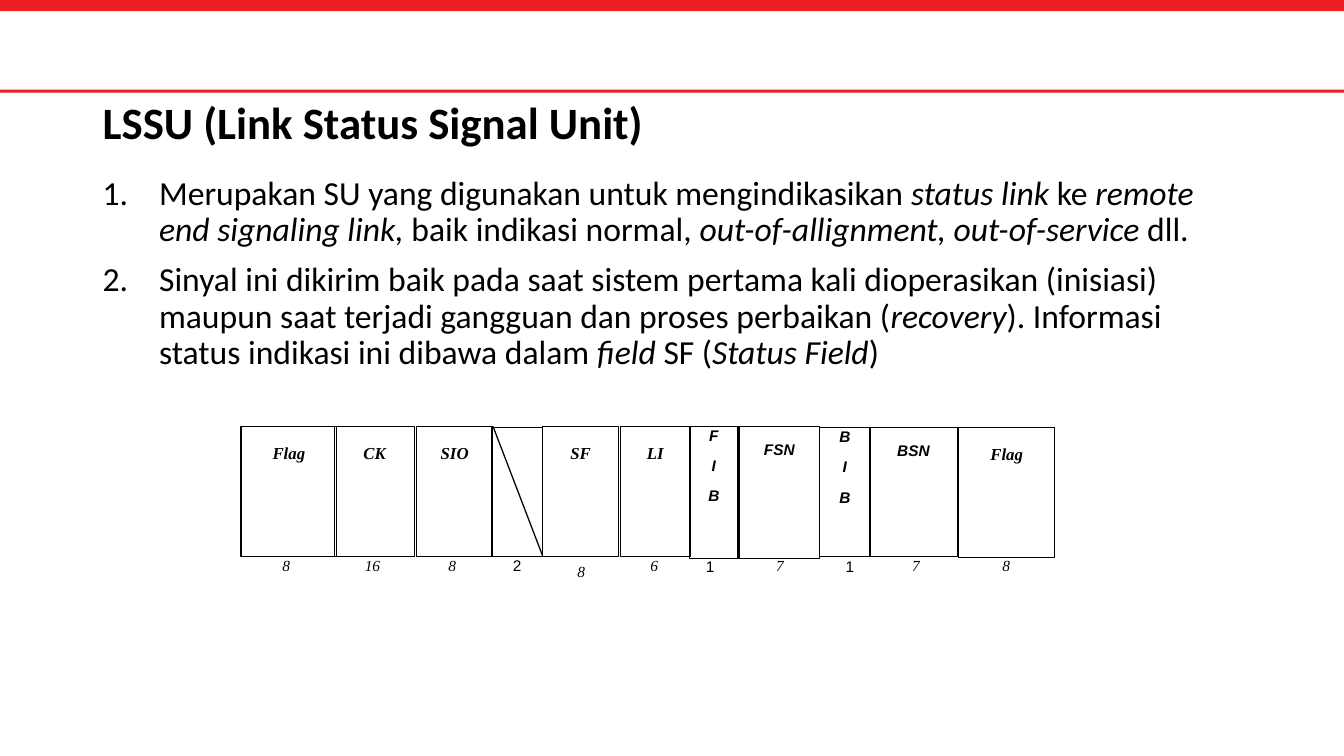
from pptx import Presentation
from pptx.dml.color import RGBColor
from pptx.enum.shapes import MSO_CONNECTOR, MSO_SHAPE
from pptx.enum.text import MSO_ANCHOR, PP_ALIGN
from pptx.oxml.ns import qn
from pptx.util import Pt
from lxml.etree import SubElement

PX = 9144
RED = RGBColor(0xED, 0x1D, 0x24)
BLACK = RGBColor(0, 0, 0)


def set_frame(box, margins, anchor=MSO_ANCHOR.TOP):
    frame = box.text_frame
    left, top, right, bottom = (margin * PX for margin in margins)
    settings = {
        "word_wrap": True, "vertical_anchor": anchor,
        "margin_left": left, "margin_top": top,
        "margin_right": right, "margin_bottom": bottom,
    }
    for name, value in settings.items():
        setattr(frame, name, value)
    return frame


def add_span(para, text, font_format):
    span = para.add_run()
    span.text = text
    span.font.color.rgb = BLACK
    for name, value in font_format.items():
        setattr(span.font, name, value)


deck = Presentation()
deck.slide_width = 1333 * PX
deck.slide_height = 750 * PX
page = deck.slides.add_slide(deck.slide_layouts[6])

for top, height in [(0, 11), (89, 3)]:
    band = page.shapes.add_shape(MSO_SHAPE.RECTANGLE, 0, top * PX, 1333 * PX, height * PX)
    band.shadow.inherit = False
    band.fill.solid()
    band.fill.fore_color.rgb = RED
    band.line.fill.background()

title = page.shapes.add_textbox(92 * PX, 99 * PX, 1150 * PX, 50 * PX)
para = set_frame(title, (10, 5, 10, 5), MSO_ANCHOR.MIDDLE).paragraphs[0]
para.line_spacing = 0.9
add_span(para, "LSSU (Link Status Signal Unit)", {"name": "Calibri", "size": Pt(32), "bold": True})

points = [
    [
        ("Merupakan SU yang digunakan untuk mengindikasikan ", False),
        ("status link ", True),
        ("ke ", False),
        ("remote end signaling link, ", True),
        ("baik indikasi normal, ", False),
        ("out-of-allignment, out-of-service ", True),
        ("dll.", False),
    ],
    [
        ("Sinyal ini dikirim baik pada saat sistem pertama kali dioperasikan (inisiasi) "
         "maupun saat terjadi gangguan dan proses perbaikan (", False),
        ("recovery", True),
        ("). Informasi status indikasi ini dibawa dalam ", False),
        ("field ", True),
        ("SF (", False),
        ("Status Field", True),
        (")", False),
    ],
]
body = page.shapes.add_textbox(92 * PX, 170 * PX, 1150 * PX, 506 * PX)
frame = set_frame(body, (10, 5, 10, 5))
for index, point in enumerate(points):
    para = frame.add_paragraph() if index else frame.paragraphs[0]
    para.line_spacing = 0.9
    para.space_before = Pt(10 if index else 0)
    properties = para._p.get_or_add_pPr()
    properties.set("marL", str(56 * PX))
    properties.set("indent", str(-56 * PX))
    SubElement(properties, qn("a:buFont"), typeface="+mj-lt")
    SubElement(properties, qn("a:buAutoNum"), type="arabicPeriod")
    for text, italic in point:
        add_span(para, text, {"name": "Calibri", "size": Pt(24), "italic": italic})

SERIF_FIELD = {"name": "Times New Roman", "size": Pt(12), "bold": True, "italic": True}
SANS_FIELD = {"name": "Arial", "size": Pt(11), "bold": True, "italic": True}
SERIF_BITS = {"name": "Times New Roman", "size": Pt(11), "italic": True}
SANS_BITS = {"name": "Arial", "size": Pt(11)}

fields = [
    (239, 423, 95, 129, ["Flag"], SERIF_FIELD),
    (332, 423, 79, 129, ["CK"], SERIF_FIELD),
    (413, 423, 76, 129, ["SIO"], SERIF_FIELD),
    (488, 424, 50, 128, [], SERIF_FIELD),
    (538, 423, 76, 129, ["SF"], SERIF_FIELD),
    (615, 423, 70, 129, ["LI"], SERIF_FIELD),
    (684, 423, 48, 131, ["F", "I", "B"], SANS_FIELD),
    (733, 423, 80, 131, ["FSN"], SANS_FIELD),
    (813, 424, 50, 128, ["B", "I", "B"], SANS_FIELD),
    (862, 424, 88, 128, ["BSN"], SANS_FIELD),
    (951, 424, 95, 129, ["Flag"], SERIF_FIELD),
]
bits = [
    (237, 550, 94, "8", SERIF_BITS),
    (331, 550, 77, "16", SERIF_BITS),
    (410, 550, 77, "8", SERIF_BITS),
    (488, 550, 50, "2", SANS_BITS),
    (538, 556, 77, "8", SERIF_BITS),
    (614, 550, 70, "6", SERIF_BITS),
    (681, 551, 47, "1", SANS_BITS),
    (730, 550, 87, "7", SERIF_BITS),
    (817, 551, 52, "1", SANS_BITS),
    (866, 550, 85, "7", SERIF_BITS),
    (952, 550, 92, "8", SERIF_BITS),
]

signal_unit = page.shapes.add_group_shape()
for left, top, width, text, font_format in bits:
    box = signal_unit.shapes.add_textbox(left * PX, top * PX, width * PX, 67 * PX)
    para = set_frame(box, (2, 2, 2, 2)).paragraphs[0]
    para.alignment = PP_ALIGN.CENTER
    add_span(para, text, font_format)

for left, top, width, height, lines, font_format in fields:
    box = signal_unit.shapes.add_shape(
        MSO_SHAPE.RECTANGLE, left * PX, top * PX, width * PX, height * PX)
    box.shadow.inherit = False
    box.fill.background()
    box.line.color.rgb = BLACK
    box.line.width = Pt(0.75)
    frame = set_frame(box, (0, 2 if len(lines) > 1 else 16, 0, 0))
    for index, text in enumerate(lines):
        para = frame.add_paragraph() if index else frame.paragraphs[0]
        para.alignment = PP_ALIGN.CENTER
        if font_format is SANS_FIELD:
            para.line_spacing = 0.88
            para.space_after = Pt(10)
        add_span(para, text, font_format)

diagonal = signal_unit.shapes.add_connector(
    MSO_CONNECTOR.STRAIGHT, 538 * PX, 551 * PX, 489 * PX, 423 * PX)
diagonal.line.color.rgb = BLACK
diagonal.line.width = Pt(0.9)
SubElement(diagonal._element.spPr, qn("a:effectLst"))

deck.save("out.pptx")
